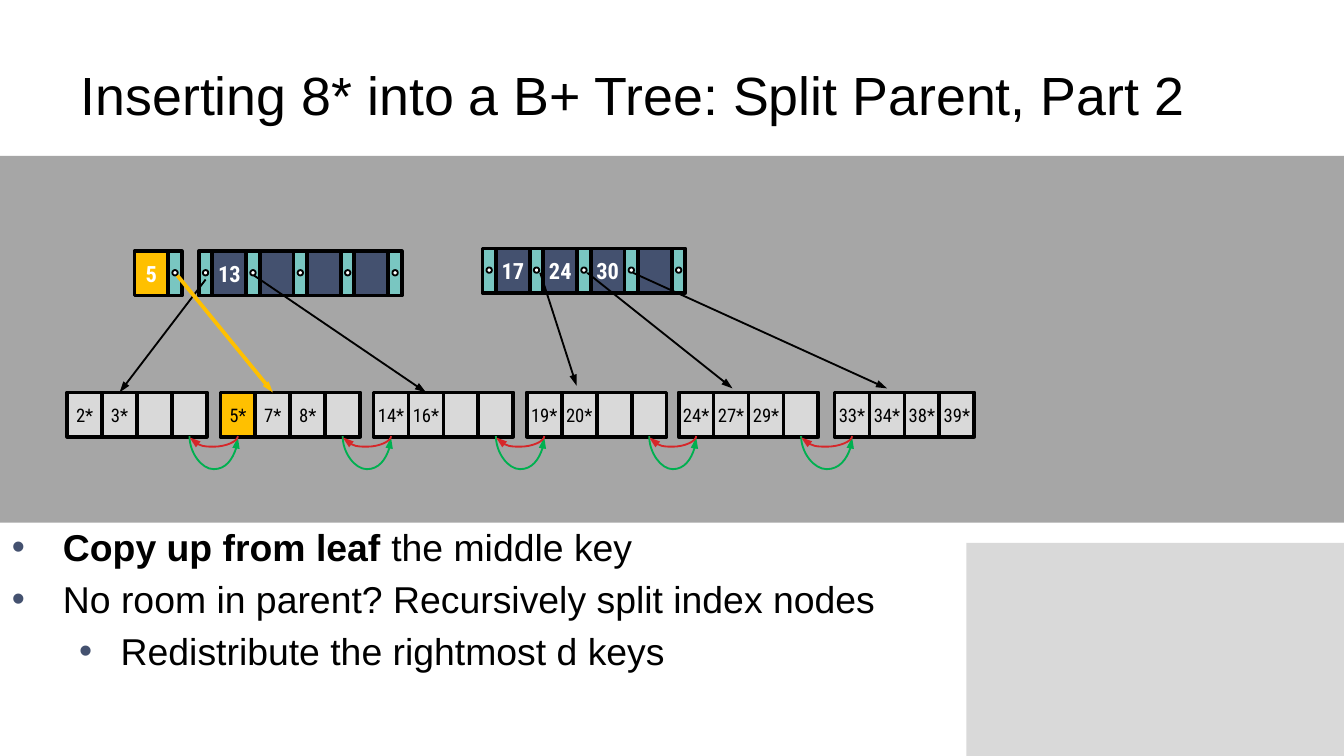
import pptx
import pptx.util
import pptx.dml.color
import pptx.enum.shapes
import pptx.enum.text
import pptx.oxml.ns
from lxml import etree

Inches, Pt = pptx.util.Inches, pptx.util.Pt
qn = pptx.oxml.ns.qn
RGB = pptx.dml.color.RGBColor.from_string
Shape = pptx.enum.shapes.MSO_SHAPE
Line = pptx.enum.shapes.MSO_CONNECTOR
Align, Anchor = pptx.enum.text.PP_ALIGN, pptx.enum.text.MSO_ANCHOR


class Theme:
    black, white = "000000", "FFFFFF"
    band, pale = "A6A6A6", "D9D9D9"
    navy, teal, gold = "44516F", "79C6C1", "FFC000"
    green, red = "00B050", "D6272A"
    font, narrow = "Arial", "Roboto Condensed"
    title, body, key, leaf = 28.8, 20, 12, 10


# A 16:9 slide
deck = pptx.Presentation()
deck.slide_width, deck.slide_height = Inches(10), Inches(10 * 9 / 16)
slide = deck.slides.add_slide(deck.slide_layouts[5])
shapes = slide.shapes


def box(x, y, w, h, fill, edge=0, text="", size=Theme.leaf, ink=Theme.black,
        kind=Shape.RECTANGLE):
    item = shapes.add_shape(kind, Inches(x), Inches(y), Inches(w), Inches(h))
    item.shadow.inherit = False
    item.fill.solid()
    item.fill.fore_color.rgb = RGB(fill)
    if edge:
        item.line.color.rgb = RGB(Theme.black)
        item.line.width = Pt(edge)
    else:
        item.line.fill.background()
    if text:
        frame = item.text_frame
        frame.text = text
        frame.word_wrap = False
        frame.margin_left = frame.margin_right = 0
        frame.vertical_anchor = Anchor.MIDDLE
        para = frame.paragraphs[0]
        para.alignment = Align.CENTER
        font = para.runs[0].font
        font.name, font.size = Theme.narrow, Pt(size)
        font.bold = size == Theme.key
        font.color.rgb = RGB(ink)
    return item


def link(kind, x1, y1, x2, y2, color, width=1):
    line = shapes.add_connector(kind, Inches(x1), Inches(y1), Inches(x2), Inches(y2))
    line.line.color.rgb = RGB(color)
    line.line.width = Pt(width)
    props = line._element.spPr
    etree.SubElement(props.find(qn("a:ln")), qn("a:tailEnd"), type="triangle", w="sm")
    etree.SubElement(props, qn("a:effectLst"))
    return line


# Background blocks
box(7.19, 4.04, 2.81, 1.59, Theme.pale)
box(0, 1.16, 10, 2.73, Theme.band)

# Title
title = shapes.title
title.left, title.top, title.width, title.height = map(Inches, (0.5, 0.23, 9, 0.94))
title.text_frame.text = "Inserting 8* into a B+ Tree: Split Parent, Part 2"
title.text_frame.vertical_anchor = Anchor.MIDDLE
head = title.text_frame.paragraphs[0]
head.alignment = Align.LEFT
font = head.runs[0].font
font.name, font.size = Theme.font, Pt(Theme.title)
font.color.rgb = RGB(Theme.black)

# Index nodes: pointer slots alternate with keys; the split-off 5 has no left pointer
slot, high = 0.1, 0.33
step = 1.41 / 4
wide = step - slot
nodes = [
    (1.48, 1.87, ["13", "", "", ""], Theme.navy, 0),
    (3.59, 1.85, ["17", "24", "30", ""], Theme.navy, 0),
    (0.9, 1.87, ["5"], Theme.gold, 1),
]
for left, top, keys, fill, first in nodes:
    for i, key in enumerate(keys):
        box(left + slot + i * step, top, wide, high, fill, 2, key, Theme.key, Theme.white)
    for i in range(first, len(keys) + 1):
        x = left + i * step
        box(x, top, slot, high, Theme.teal, 2)
        box(x + 0.03, top + 0.14, 0.04, 0.04, Theme.white, 1, kind=Shape.OVAL)

# Leaf nodes
cell, row = 0.26, 2.92
leaves = [
    (0.5, ["2*", "3*", "", ""]), (1.64, ["5*", "7*", "8*", ""]),
    (2.78, ["14*", "16*", "", ""]), (3.92, ["19*", "20*", "", ""]),
    (5.05, ["24*", "27*", "29*", ""]), (6.21, ["33*", "34*", "38*", "39*"]),
]
cells = {}
for n, (left, keys) in enumerate(leaves):
    for i, key in enumerate(keys):
        fill = Theme.gold if key == "5*" else Theme.pale
        cells[n, i] = box(left + i * cell, row, cell, high, fill, 2, key)

# Pointers that end on a leaf cell
for x, y, goal, color, width in [
    (1.53, 2.08, (0, 1), Theme.black, 1),
    (1.89, 2.05, (2, 1), Theme.black, 1),
    (1.32, 2.05, (1, 1), Theme.gold, 2),
]:
    line = link(Line.STRAIGHT, x, y, x, row, color, width)
    line.end_connect(cells[goal], 0)

# Pointers that stop just above a leaf
for x1, x2, y2 in [(4.02, 4.29, 2.87), (4.37, 5.45, 2.89), (4.71, 6.6, 2.89)]:
    link(Line.STRAIGHT, x1, 2.03, x2, y2, Theme.black)

# Sibling links: green forward, red back, turned so that they sag below the leaves
thin, low = 0.01, row + high
for (left, _), (right, _) in zip(leaves, leaves[1:]):
    tail, tip = left + 3.5 * cell, right + cell / 2
    mid, half = (tail + tip) / 2, (tip - tail) / 2
    for color, turn, flip, sag in [(Theme.green, 270, "1", 0.25), (Theme.red, 90, "0", 0.08)]:
        curve = link(Line.CURVE, mid - thin / 2, low - half, mid + thin / 2, low + half, color)
        props = curve._element.spPr
        frame = props.find(qn("a:xfrm"))
        frame.set("rot", str(turn * 60000))
        frame.set("flipH", flip)
        guides = props.find(qn("a:prstGeom")).find(qn("a:avLst"))
        etree.SubElement(guides, qn("a:gd"), name="adj1",
                         fmla=f"val {round(sag / thin * 100000)}")

# Bullets
notes = shapes.add_textbox(Inches(-0.01), Inches(3.85), Inches(9), Inches(3.27)).text_frame
notes.word_wrap = True
lines = [
    (["Copy up from leaf ", "the middle key"], 0, 0.38, 0.38),
    (["No room in parent? Recursively split index nodes"], 0, 0.38, 0.38),
    (["Redistribute the rightmost d keys"], 1, 0.81, 0.31),
]
for i, (parts, level, left, hang) in enumerate(lines):
    para = notes.add_paragraph() if i else notes.paragraphs[0]
    para.level = level
    para.space_before = Pt(Theme.body * 0.2)
    for part in parts:
        run = para.add_run()
        run.text = part
        run.font.name, run.font.size = Theme.font, Pt(Theme.body)
        run.font.bold = len(parts) > 1 and part == parts[0]
        run.font.color.rgb = RGB(Theme.black)
    props = para._p.get_or_add_pPr()
    props.set("marL", str(Inches(left)))
    props.set("indent", str(-Inches(hang)))
    tint = etree.SubElement(props, qn("a:buClr"))
    etree.SubElement(tint, qn("a:srgbClr"), val=Theme.navy)
    etree.SubElement(props, qn("a:buFont"), typeface=Theme.font)
    etree.SubElement(props, qn("a:buChar"), char="•")

deck.save("out.pptx")
